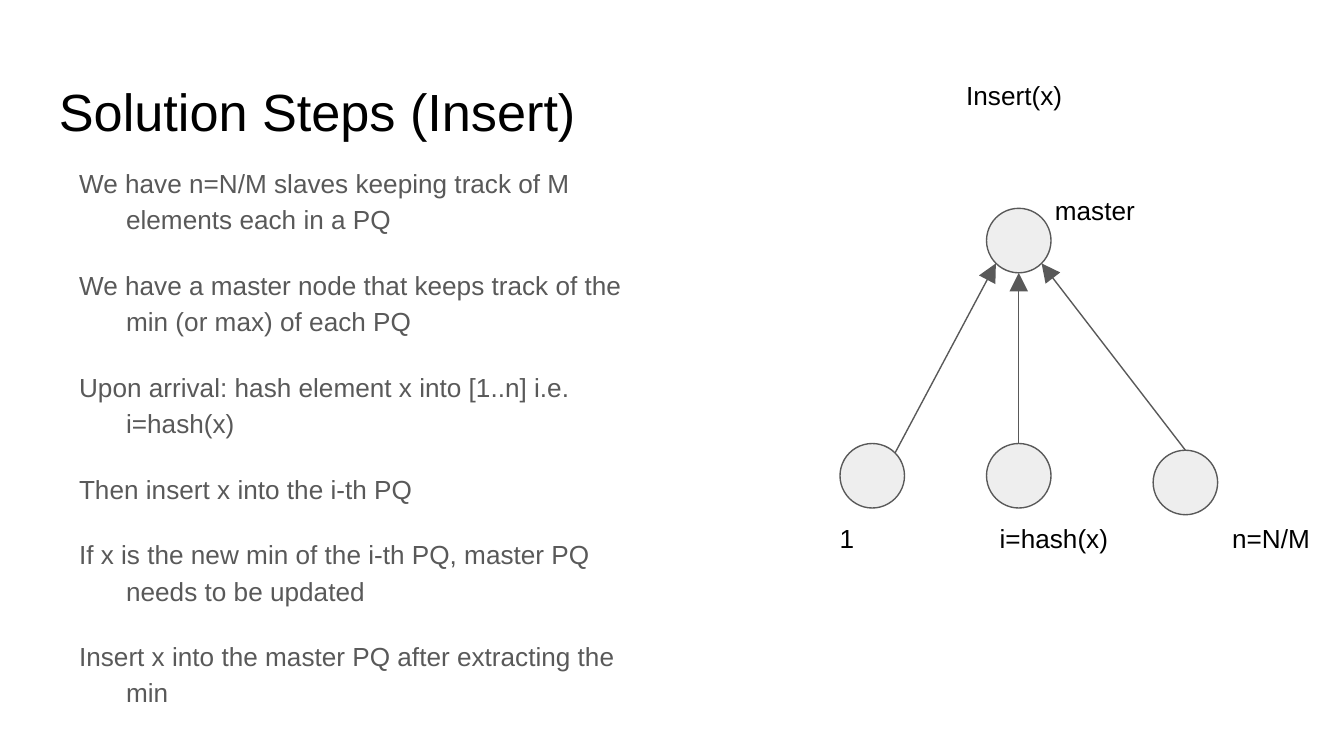
from lxml.etree import SubElement
from pptx import Presentation
from pptx.dml.color import RGBColor
from pptx.enum.shapes import MSO_CONNECTOR, MSO_SHAPE
from pptx.oxml.ns import qn
from pptx.util import Inches, Pt

BLACK = RGBColor(0x00, 0x00, 0x00)
GRAY = RGBColor(0x59, 0x59, 0x59)
LIGHT = RGBColor(0xEE, 0xEE, 0xEE)

FONT = "Arial"
NODE = 0.48
RADIUS = NODE / 2
DIAGONAL = 0.17

STEPS = [
    "We have n=N/M slaves keeping track of M elements each in a PQ",
    "We have a master node that keeps track of the min (or max) of each PQ",
    "Upon arrival: hash element x into [1..n] i.e. i=hash(x)",
    "Then insert x into the i-th PQ",
    "If x is the new min of the i-th PQ, master PQ needs to be updated",
    "Insert x into the master PQ after extracting the min",
]


def add_text(s, x, y, w, h, lines, size=14, color=BLACK):
    tf = s.shapes.add_textbox(Inches(x), Inches(y), Inches(w), Inches(h)).text_frame
    tf.word_wrap = True
    tf.margin_left = tf.margin_right = Inches(0.1)
    tf.margin_top = tf.margin_bottom = Inches(0.1)
    tf.text = "\n".join(lines)
    for p in tf.paragraphs:
        for r in p.runs:
            r.font.name = FONT
            r.font.size = Pt(size)
            r.font.color.rgb = color
    return tf


def add_node(s, cx, cy):
    sp = s.shapes.add_shape(
        MSO_SHAPE.OVAL, Inches(cx - RADIUS), Inches(cy - RADIUS), Inches(NODE), Inches(NODE)
    )
    sp.shadow.inherit = False
    sp.fill.solid()
    sp.fill.fore_color.rgb = LIGHT
    sp.line.color.rgb = GRAY
    sp.line.width = Pt(0.75)


def add_arrow(s, x1, y1, x2, y2):
    c = s.shapes.add_connector(
        MSO_CONNECTOR.STRAIGHT, Inches(x1), Inches(y1), Inches(x2), Inches(y2)
    )
    c.line.color.rgb = GRAY
    c.line.width = Pt(0.75)
    ln = c._element.spPr.find(qn("a:ln"))
    SubElement(ln, qn("a:tailEnd"), type="triangle", w="lg", len="lg")
    SubElement(c._element.spPr, qn("a:effectLst"))


def add_title(s, x, y, w, h):
    add_text(s, x, y, w, h, ["Solution Steps (Insert)"], size=28)


def add_steps(s, x, y, w, h):
    tf = add_text(s, x, y, w, h, STEPS, color=GRAY)
    for p in tf.paragraphs:
        p.line_spacing = 1.15
        p.space_after = Pt(16)
        pPr = p._p.get_or_add_pPr()
        pPr.set("marL", str(Inches(0.5)))
        pPr.set("indent", str(Inches(-0.35)))


def add_tree(s, x, y):
    mx, my = x + 1.43, y + 1.3
    left, middle, right = (x + 0.34, y + 3.05), (mx, y + 3.05), (x + 2.67, y + 3.1)
    for cx, cy in [(mx, my), right, middle, left]:
        add_node(s, cx, cy)

    add_arrow(s, left[0] + DIAGONAL, left[1] - DIAGONAL, mx - DIAGONAL, my + DIAGONAL)
    add_arrow(s, middle[0], middle[1] - RADIUS, mx, my + RADIUS)
    add_arrow(s, right[0], right[1] - RADIUS, mx + DIAGONAL, my + DIAGONAL)

    labels = [
        ("Insert(x)", 0.94, 0, 0.98),
        ("i=hash(x)", 1.19, 3.3, 6.64),
        ("1", 0, 3.3, 6.64),
        ("n=N/M", 2.92, 3.3, 6.64),
        ("master", 1.6, 0.86, 1.08),
    ]
    for label, dx, dy, w in labels:
        add_text(s, x + dx, y + dy, w, 0.77, [label])


def main():
    prs = Presentation()
    prs.slide_width = Inches(10)
    prs.slide_height = prs.slide_width * 9 // 16
    s = prs.slides.add_slide(prs.slide_layouts[6])
    add_title(s, 0.34, 0.49, 9.32, 0.63)
    add_steps(s, 0.34, 1.11, 4.64, 3.88)
    add_tree(s, 6.15, 0.49)
    prs.save("out.pptx")


if __name__ == "__main__":
    main()
